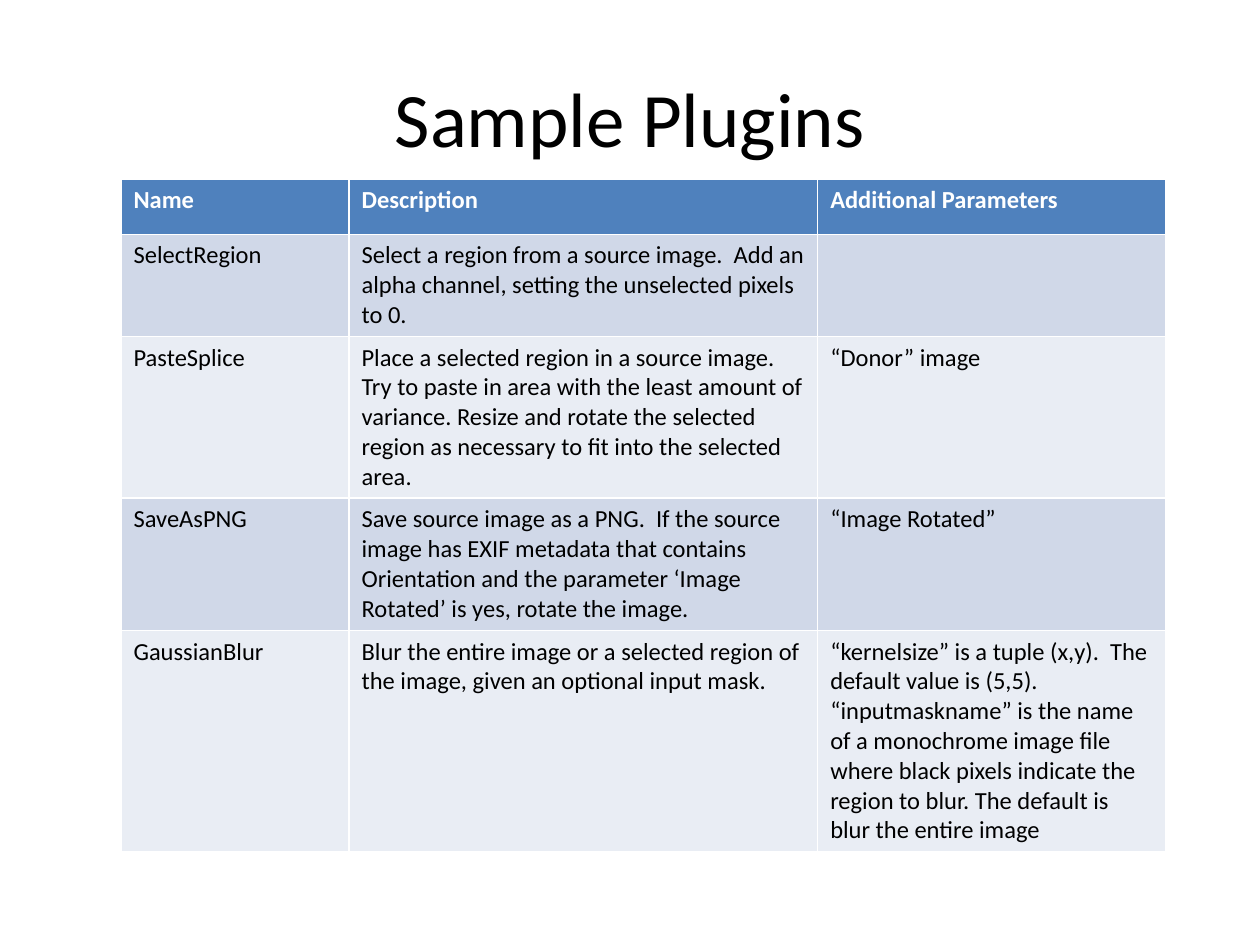
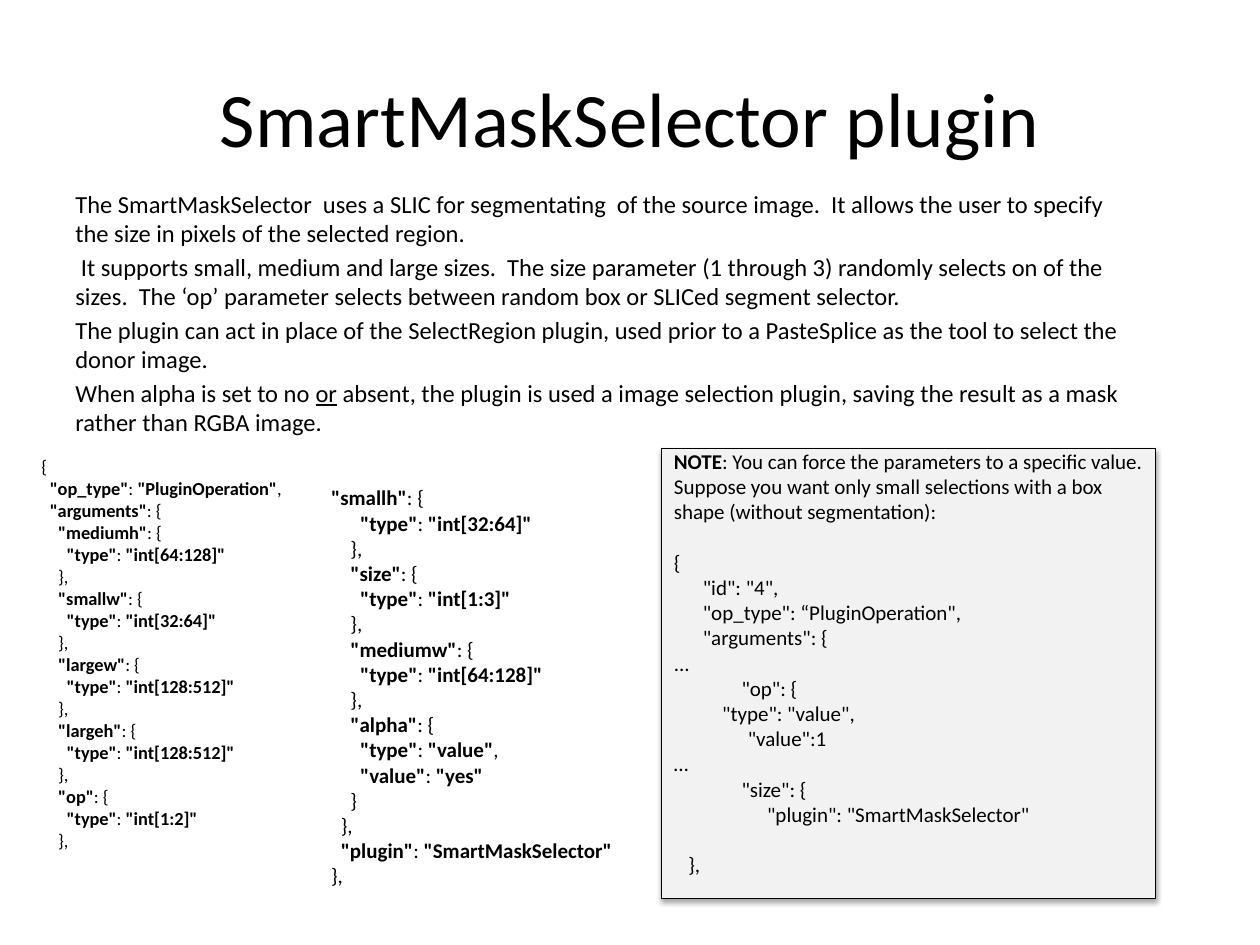
from dataclasses import dataclass

from lxml.etree import SubElement
from pptx import Presentation
from pptx.dml.color import RGBColor
from pptx.enum.shapes import MSO_SHAPE
from pptx.enum.text import MSO_ANCHOR, PP_ALIGN
from pptx.oxml.ns import qn
from pptx.util import Inches, Pt

WIDE, HIGH = Inches(10), Inches(7.5)
COL, ROW = WIDE / 100, HIGH / 75
FONT = "Calibri"
SPACE = 0.23
BLACK = RGBColor(0x00, 0x00, 0x00)
WHITE = RGBColor(0xFF, 0xFF, 0xFF)
BLUE = RGBColor(0x4F, 0x81, 0xBD)
BANDS = RGBColor(0xE9, 0xED, 0xF4), RGBColor(0xD0, 0xD8, 0xE8)
PALE = RGBColor(0xF2, 0xF2, 0xF2)


@dataclass(frozen=True)
class Box:
    """Place on the grid, in columns and rows."""
    left: float
    top: float
    width: float
    height: float

    def place(self) -> tuple[int, int, int, int]:
        """Give the place as lengths."""
        return (int(self.left * COL), int(self.top * ROW),
                int(self.width * COL), int(self.height * ROW))


@dataclass(frozen=True)
class Span:
    """Words that share one style."""
    text: str
    bold: bool = False
    under: bool = False


@dataclass(frozen=True)
class Line:
    """Paragraph with an indent in spaces and a gap above in points."""
    spans: tuple[Span, ...]
    pad: float = 0
    gap: float = 0


TITLE = Box(5, 3, 90, 12.5)
GRID = Box(9.6, 14.2, 82.9, 53.3)
INTRO = Box(5, 14.5, 86.7, 20)
MAIN = Box(2.3, 35.6, 23, 34)
SIDE = Box(25.3, 38, 25, 33.3)
NOTE = Box(52.5, 35.6, 39.2, 35.7)

WIDTHS = 18.1, 37.2, 27.6
HEIGHTS = 4.4, 8.1, 12.8, 10.5, 17.5
PLUGINS = (
    ("Name", "Description", "Additional Parameters"),
    ("SelectRegion",
     "Select a region from a source image.  Add an alpha channel, "
     "setting the unselected pixels to 0.", ""),
    ("PasteSplice",
     "Place a selected region in a source image. Try to paste in area with "
     "the least amount of variance. Resize and rotate the selected region "
     "as necessary to fit into the selected area.", "“Donor” image"),
    ("SaveAsPNG",
     "Save source image as a PNG.  If the source image has EXIF metadata "
     "that contains Orientation and the parameter ‘Image Rotated’ is yes, "
     "rotate the image.", "“Image Rotated”"),
    ("GaussianBlur",
     "Blur the entire image or a selected region of the image, given an "
     "optional input mask.",
     "“kernelsize” is a tuple (x,y).  The default value is (5,5).\n"
     "“inputmaskname” is the name of a monochrome image file where black "
     "pixels indicate the region to blur. The default is blur the entire image"),
)


def plain(text: str, pad: float = 0, gap: float = 0) -> Line:
    """Make a line of one style."""
    return Line((Span(text),), pad, gap)


def code(text: str, pad: float = 0) -> Line:
    """Make a line of code with its quoted words in bold."""
    parts = enumerate(text.split('"'))
    return Line(tuple(Span(f'"{part}"' if spot % 2 else part, bool(spot % 2))
                      for spot, part in parts if part), pad)


def field(name: str, *rows: str, end: str = "},") -> list[Line]:
    """Make the lines of one argument."""
    return [code(f'"{name}": {{', 4), *(code(row, 6) for row in rows), code(end, 4)]


def kind(name: str, span: str) -> list[Line]:
    """Make an argument that holds a range of integers."""
    return field(name, f'"type": "int[{span}]"')


INTRO_LINES = [
    plain("The SmartMaskSelector  uses a SLIC for segmentating  of the source "
          "image.  It allows the user to specify the size in pixels of the "
          "selected region."),
    plain(" It supports small, medium and large sizes.  The size parameter "
          "(1 through 3) randomly selects on of the sizes.  The ‘op’ parameter "
          "selects between random box or SLICed segment selector.", gap=2.4),
    plain("The plugin can act in place of the SelectRegion plugin, used prior "
          "to a PasteSplice as the tool to select the donor image.", gap=2.4),
    Line((Span("When alpha is set to no "), Span("or", under=True),
          Span(" absent, the plugin is used a image selection plugin, saving "
               "the result as a mask rather than RGBA image.")), gap=2.4),
]
MAIN_LINES = [
    code("{"),
    code('"op_type": "PluginOperation",', 2),
    code('"arguments": {', 2),
    *kind("mediumh", "64:128"),
    *kind("smallw", "32:64"),
    *kind("largew", "128:512"),
    *kind("largeh", "128:512"),
    *kind("op", "1:2"),
]
SIDE_LINES = [
    code('"smallh": {'),
    *kind("smallh", "32:64")[1:],
    *kind("size", "1:3"),
    *kind("mediumw", "64:128"),
    *field("alpha", '"type": "value",', '"value": "yes"', end="}"),
    code("},", 2),
    code('"plugin": "SmartMaskSelector"', 2),
    code("},"),
]
NOTE_LINES = [
    Line((Span("NOTE", bold=True),
          Span(": You can force the parameters to a specific value. Suppose you "
               "want only small selections with a box shape (without "
               "segmentation):"))),
    plain("{", gap=14.4),
    plain('"id": "4",', 6),
    plain('"op_type": “PluginOperation",', 6),
    plain('"arguments": {', 6),
    plain("..."),
    plain('"op": {', 14),
    plain('"type": "value",', 10),
    plain('"value":1', 15.3),
    plain("…"),
    plain('"size": {', 14),
    plain('"plugin": "SmartMaskSelector"', 19.3),
    plain("},", 3, gap=14.4),
]


def style(run, size: float, tint: RGBColor = BLACK, bold: bool = False) -> None:
    """Set the font of a run."""
    run.font.name, run.font.size, run.font.bold = FONT, Pt(size), bold
    run.font.color.rgb = tint


def write(frame, lines: list[Line], size: float) -> None:
    """Fill a text frame with lines."""
    frame.word_wrap = True
    frame.vertical_anchor = MSO_ANCHOR.TOP
    for spot, line in enumerate(lines):
        para = frame.add_paragraph() if spot else frame.paragraphs[0]
        para.alignment = PP_ALIGN.LEFT
        para.space_before = Pt(line.gap)
        props = para._p.get_or_add_pPr()
        props.set("marL", str(Pt(line.pad * SPACE * size)))
        props.set("indent", "0")
        for span in line.spans:
            run = para.add_run()
            run.text = span.text
            style(run, size, bold=span.bold)
            run.font.underline = span.under or None


def start(deck, text: str):
    """Add a slide with its title."""
    slide = deck.slides.add_slide(deck.slide_layouts[5])
    title = slide.shapes.title
    title.left, title.top, title.width, title.height = TITLE.place()
    title.text_frame.text = text
    title.text_frame.vertical_anchor = MSO_ANCHOR.MIDDLE
    para = title.text_frame.paragraphs[0]
    para.alignment = PP_ALIGN.CENTER
    style(para.runs[0], 44)
    return slide


def block(slide, box: Box, lines: list[Line], size: float) -> None:
    """Add a text box."""
    write(slide.shapes.add_textbox(*box.place()).text_frame, lines, size)


def shade(shape) -> None:
    """Add a soft shadow below a shape."""
    shape.shadow.inherit = False
    glow = shape._element.spPr.find(qn("a:effectLst"))
    cast = SubElement(glow, qn("a:outerShdw"), blurRad=str(Pt(3.1)),
                      dist=str(Pt(1.8)), dir="5400000", rotWithShape="0")
    tint = SubElement(cast, qn("a:srgbClr"), val=str(BLACK))
    SubElement(tint, qn("a:alpha"), val="35000")


def panel(slide, box: Box, lines: list[Line], size: float) -> None:
    """Add a framed note."""
    shape = slide.shapes.add_shape(MSO_SHAPE.RECTANGLE, *box.place())
    shape.fill.solid()
    shape.fill.fore_color.rgb = PALE
    shape.line.color.rgb = BLACK
    shape.line.width = Pt(0.75)
    shade(shape)
    shape.text_frame.margin_top = 0
    write(shape.text_frame, lines, size)


def chart_rows(slide) -> None:
    """Add the table of plugins."""
    table = slide.shapes.add_table(len(PLUGINS), len(WIDTHS), *GRID.place()).table
    for column, width in zip(table.columns, WIDTHS):
        column.width = int(width * COL)
    for rank, (row, height, texts) in enumerate(zip(table.rows, HEIGHTS, PLUGINS)):
        row.height = int(height * ROW)
        head = rank == 0
        for cell, text in zip(row.cells, texts):
            cell.fill.solid()
            cell.fill.fore_color.rgb = BLUE if head else BANDS[rank % 2]
            cell.text_frame.text = text
            for para in cell.text_frame.paragraphs:
                for run in para.runs:
                    style(run, 14, WHITE if head else BLACK, head)


def main() -> None:
    """Build and save the deck."""
    deck = Presentation()
    deck.slide_width, deck.slide_height = WIDE, HIGH
    chart_rows(start(deck, "Sample Plugins"))
    slide = start(deck, "SmartMaskSelector plugin")
    block(slide, INTRO, INTRO_LINES, 14)
    block(slide, MAIN, MAIN_LINES, 10.5)
    block(slide, SIDE, SIDE_LINES, 12)
    panel(slide, NOTE, NOTE_LINES, 12)
    deck.save("out.pptx")


if __name__ == "__main__":
    main()
